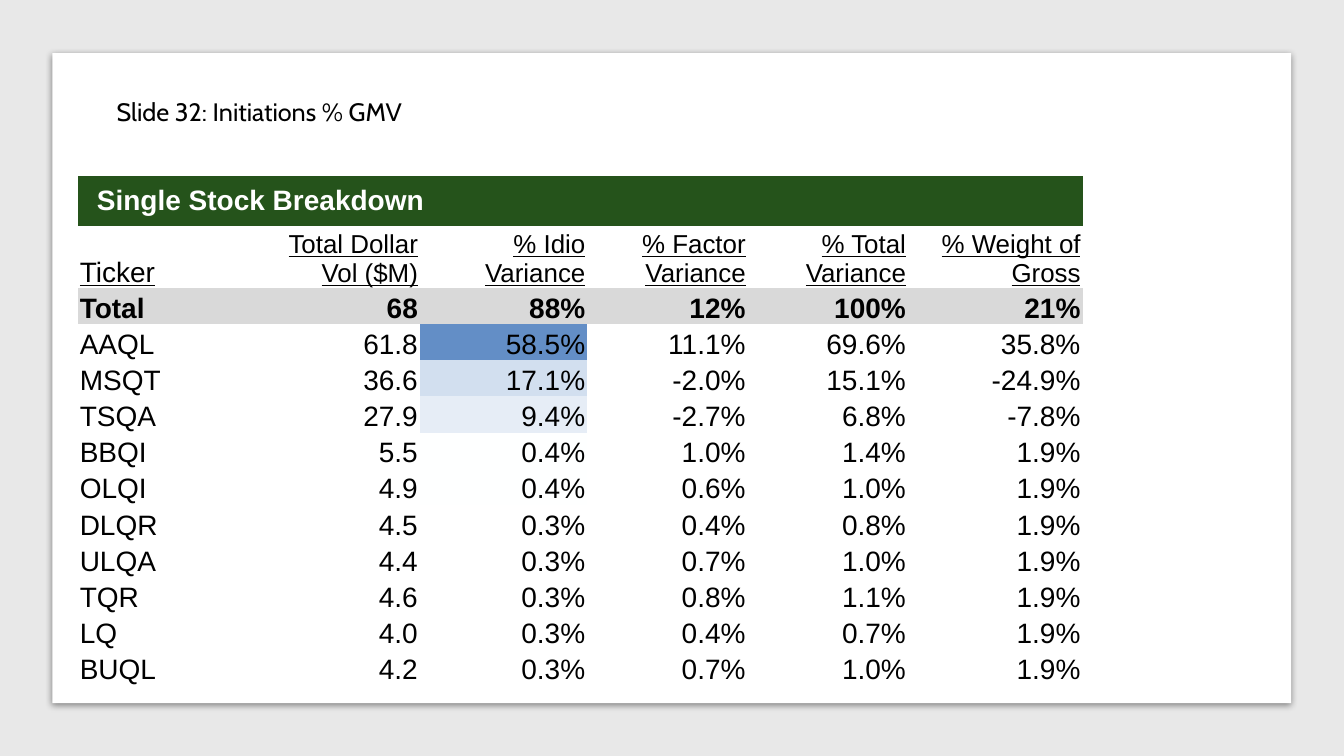
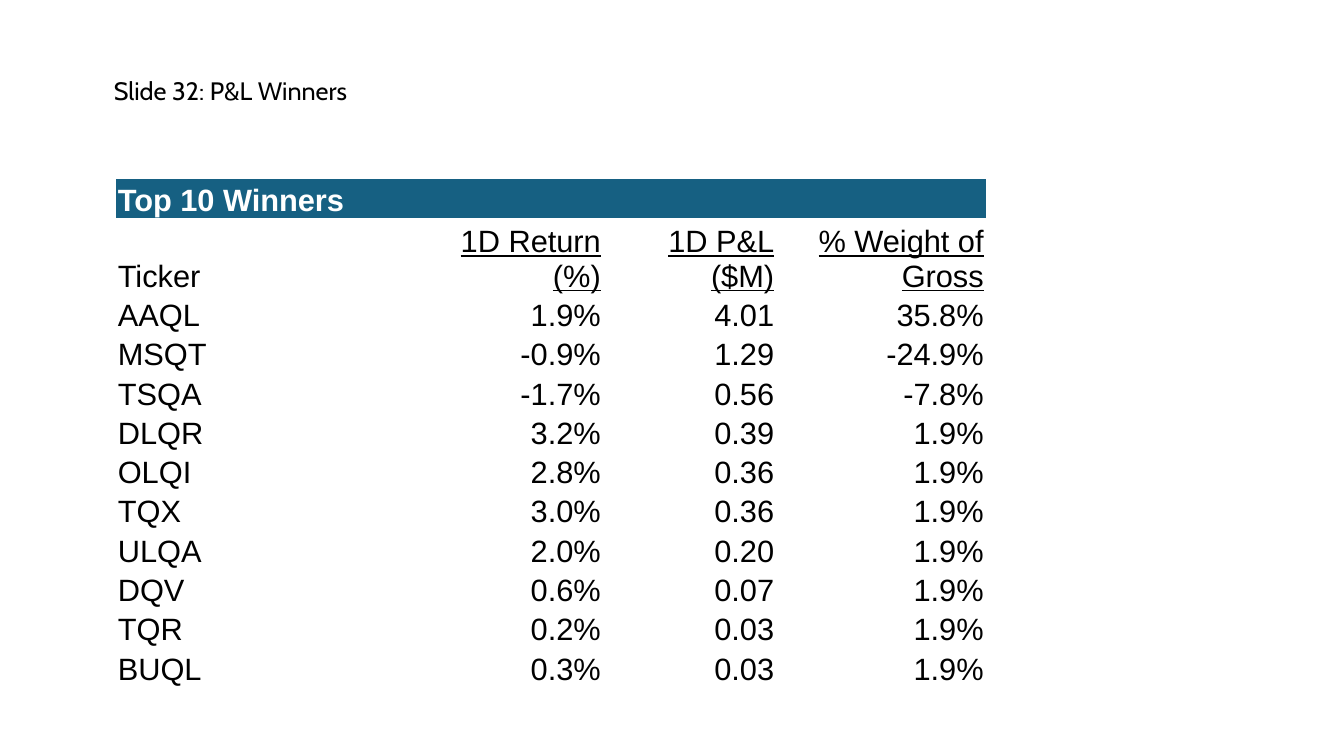
"""Build two slides of stock tables: a variance breakdown and the top winners."""
from lxml import etree
from pptx import Presentation
from pptx.dml.color import RGBColor
from pptx.enum.shapes import MSO_SHAPE
from pptx.enum.text import MSO_ANCHOR, MSO_AUTO_SIZE, PP_ALIGN
from pptx.oxml import parse_xml
from pptx.util import Cm, Pt

RECTANGLE = MSO_SHAPE.RECTANGLE
TOP, BOTTOM = MSO_ANCHOR.TOP, MSO_ANCHOR.BOTTOM
LEFT, RIGHT = PP_ALIGN.LEFT, PP_ALIGN.RIGHT
FIT_SHAPE = MSO_AUTO_SIZE.SHAPE_TO_FIT_TEXT

COLORS = {
    "black": "000000",
    "white": "FFFFFF",
    "backdrop": "E8E8E8",
    "green band": "25531B",
    "teal band": "166082",
    "total row": "D9D9D9",
    "high": "638EC6",
    "medium": "D2DFEF",
    "low": "E6EDF6",
    "faint": "FEFFFF",
}
NO_STYLE = "{2D5ABB26-0587-4C30-8999-92F81FD0307C}"
SHADOW = (
    '<a:effectLst xmlns:a="http://schemas.openxmlformats.org/drawingml/2006/main">'
    '<a:outerShdw blurRad="63500" dist="17780" dir="5400000" rotWithShape="0">'
    '<a:srgbClr val="000000"><a:alpha val="43000"/></a:srgbClr>'
    "</a:outerShdw></a:effectLst>"
)

BREAKDOWN = [
    ["Single Stock Breakdown", "", "", "", "", ""],
    ["Ticker", "Total Dollar Vol ($M)", "% Idio Variance", "% Factor Variance",
     "% Total Variance", "% Weight of Gross"],
    ["Total", "68", "88%", "12%", "100%", "21%"],
    ["AAQL", "61.8", "58.5%", "11.1%", "69.6%", "35.8%"],
    ["MSQT", "36.6", "17.1%", "-2.0%", "15.1%", "-24.9%"],
    ["TSQA", "27.9", "9.4%", "-2.7%", "6.8%", "-7.8%"],
    ["BBQI", "5.5", "0.4%", "1.0%", "1.4%", "1.9%"],
    ["OLQI", "4.9", "0.4%", "0.6%", "1.0%", "1.9%"],
    ["DLQR", "4.5", "0.3%", "0.4%", "0.8%", "1.9%"],
    ["ULQA", "4.4", "0.3%", "0.7%", "1.0%", "1.9%"],
    ["TQR", "4.6", "0.3%", "0.8%", "1.1%", "1.9%"],
    ["LQ", "4.0", "0.3%", "0.4%", "0.7%", "1.9%"],
    ["BUQL", "4.2", "0.3%", "0.7%", "1.0%", "1.9%"],
]
WINNERS = [
    ["Top 10 Winners", "", "", ""],
    ["Ticker", "1D Return\n(%)", "1D P&L\n($M)", "% Weight of\nGross"],
    ["AAQL", "1.9%", "4.01", "35.8%"],
    ["MSQT", "-0.9%", "1.29", "-24.9%"],
    ["TSQA", "-1.7%", "0.56", "-7.8%"],
    ["DLQR", "3.2%", "0.39", "1.9%"],
    ["OLQI", "2.8%", "0.36", "1.9%"],
    ["TQX", "3.0%", "0.36", "1.9%"],
    ["ULQA", "2.0%", "0.20", "1.9%"],
    ["DQV", "0.6%", "0.07", "1.9%"],
    ["TQR", "0.2%", "0.03", "1.9%"],
    ["BUQL", "0.3%", "0.03", "1.9%"],
]


def add_title(slide, text, left, top, width):
    box = slide.shapes.add_textbox(Cm(left), Cm(top), Cm(width), Cm(1.02))
    frame = box.text_frame
    frame.word_wrap = True
    frame.auto_size = FIT_SHAPE
    run = frame.paragraphs[0].add_run()
    run.text = text
    run.font.size = Pt(18)
    run.font.name = "Cabin"
    run.font.color.rgb = RGBColor.from_string(COLORS["black"])


def add_stock_table(slide, rows, left, top, widths, heights, size, header_size, band):
    frame = slide.shapes.add_table(len(rows), len(widths), Cm(left), Cm(top),
                                   Cm(sum(widths)), Cm(sum(heights)))
    table = frame.table
    table.first_row = table.horz_banding = False
    table._tbl.tblPr.find("{*}tableStyleId").text = NO_STYLE
    for column, width in zip(table.columns, widths):
        column.width = Cm(width)
    for row_index, (values, height) in enumerate(zip(rows, heights)):
        table.rows[row_index].height = Cm(height)
        for column_index, value in enumerate(values):
            cell = table.cell(row_index, column_index)
            cell.vertical_anchor = BOTTOM
            cell.margin_left = cell.margin_right = cell.margin_top = Cm(0.05)
            cell.margin_bottom = 0
            if row_index == 0:
                cell.fill.solid()
                cell.fill.fore_color.rgb = RGBColor.from_string(COLORS[band])
            else:
                cell.fill.background()
            paragraph = cell.text_frame.paragraphs[0]
            paragraph.alignment = RIGHT if column_index else LEFT
            paragraph.font.size = Pt(size)
            for line_index, line in enumerate(value.split("\n") if value else []):
                if line_index:
                    paragraph.add_line_break()
                run = paragraph.add_run()
                run.text = line
                run.font.name = "Arial"
                run.font.size = Pt(header_size if row_index == 1 and column_index else size)
                run.font.bold = row_index == 0
                run.font.underline = row_index == 1 and column_index > 0
                run.font.color.rgb = RGBColor.from_string(
                    COLORS["black" if row_index else "white"])
    return table


presentation = Presentation()
presentation.slide_width = Cm(33.87)
presentation.slide_height = Cm(19.05)
blank = presentation.slide_layouts[6]

slide = presentation.slides.add_slide(blank)
for left, top, width, height, color in [
    (0, 0, 33.87, 19.05, "backdrop"),
    (1.32, 1.34, 31.22, 16.38, "white"),
]:
    shape = slide.shapes.add_shape(RECTANGLE, Cm(left), Cm(top), Cm(width), Cm(height))
    shape.shadow.inherit = False
    shape.fill.solid()
    shape.fill.fore_color.rgb = RGBColor.from_string(COLORS[color])
    shape.line.fill.background()
properties = shape._element.spPr
properties.replace(properties.find("{*}effectLst"), parse_xml(SHADOW))

table = add_stock_table(slide, BREAKDOWN, 1.96, 4.43, [4.22, 4.4, 4.22, 4.04, 4.04, 4.4],
                        [1.27, 1.56] + [0.91] * 11, 20, 18.5, "green band")
heading = table.cell(0, 0)
heading.merge(table.cell(0, 2))
heading.vertical_anchor = TOP
heading.margin_left = heading.margin_right = Cm(0.48)
heading.margin_top = heading.margin_bottom = Cm(0.23)
ticker_run = table.cell(1, 0).text_frame.paragraphs[0].runs[0]
ticker_run.font.underline = True
for column_index in range(6):
    total = table.cell(2, column_index)
    total.fill.solid()
    total.fill.fore_color.rgb = RGBColor.from_string(COLORS["total row"])
    total.text_frame.paragraphs[0].runs[0].font.bold = True
for row_index, shade in enumerate(["high", "medium", "low", "faint", "faint"], start=3):
    variance = table.cell(row_index, 2)
    variance.fill.solid()
    variance.fill.fore_color.rgb = RGBColor.from_string(COLORS[shade])
add_title(slide, "Slide 32: Initiations % GMV", 2.69, 2.31, 7.85)

slide = presentation.slides.add_slide(blank)
add_stock_table(slide, WINNERS, 2.92, 4.5, [6.99, 5.28, 4.37, 5.28],
                [0.99, 1.86] + [0.99] * 10, 22, 22, "teal band")
add_title(slide, "Slide 32: P&L Winners", 2.62, 1.78, 16.94)

presentation.save("out.pptx")
